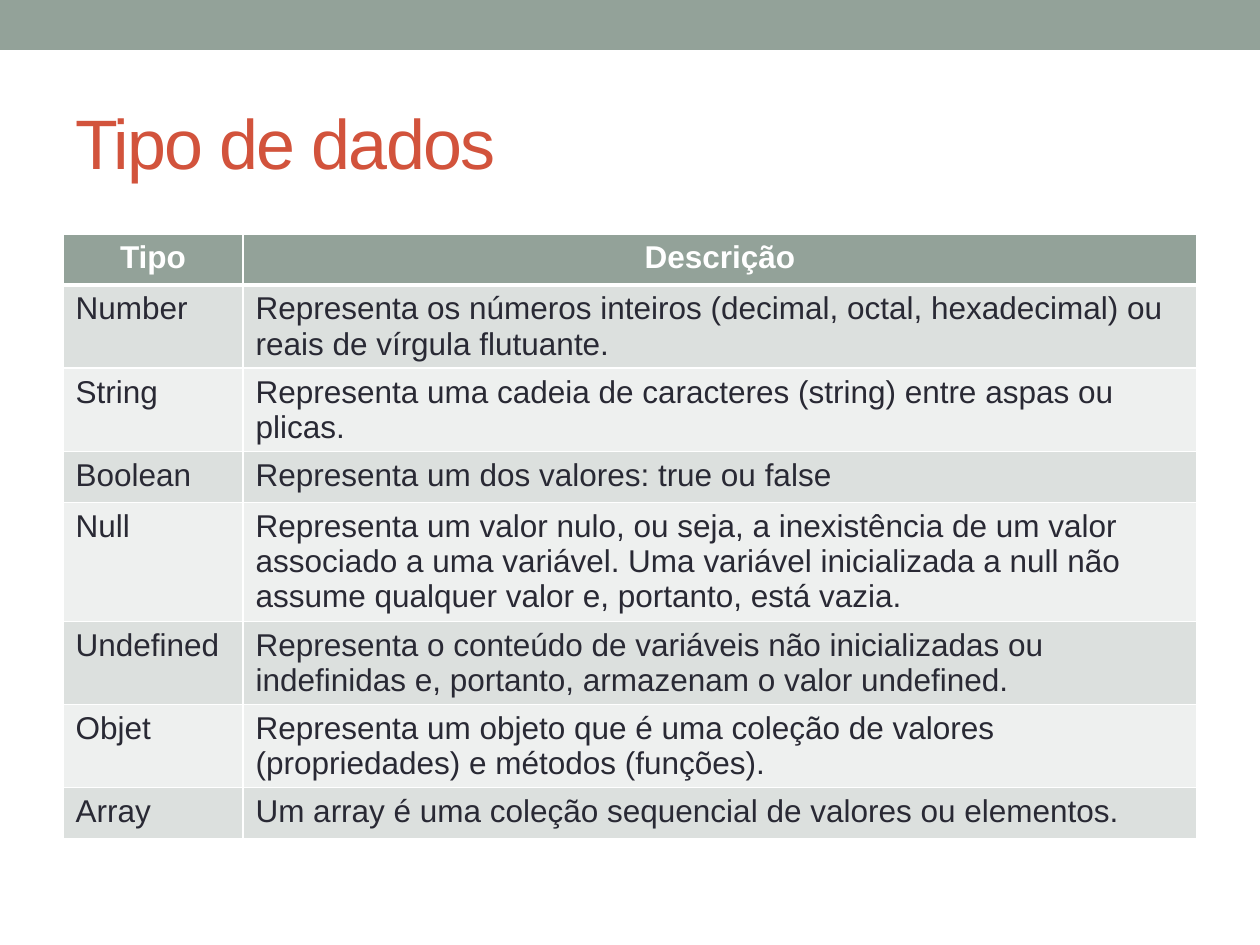
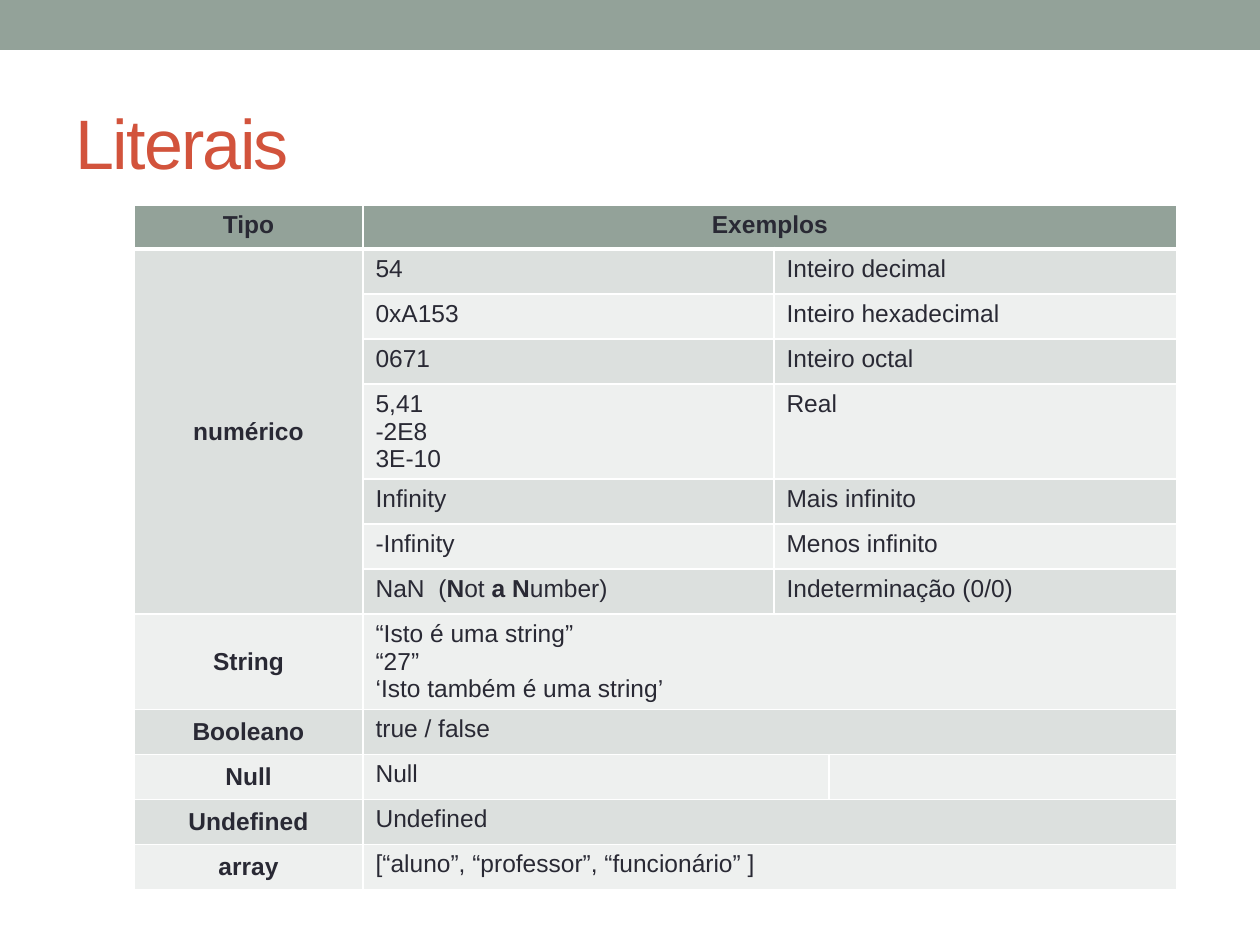
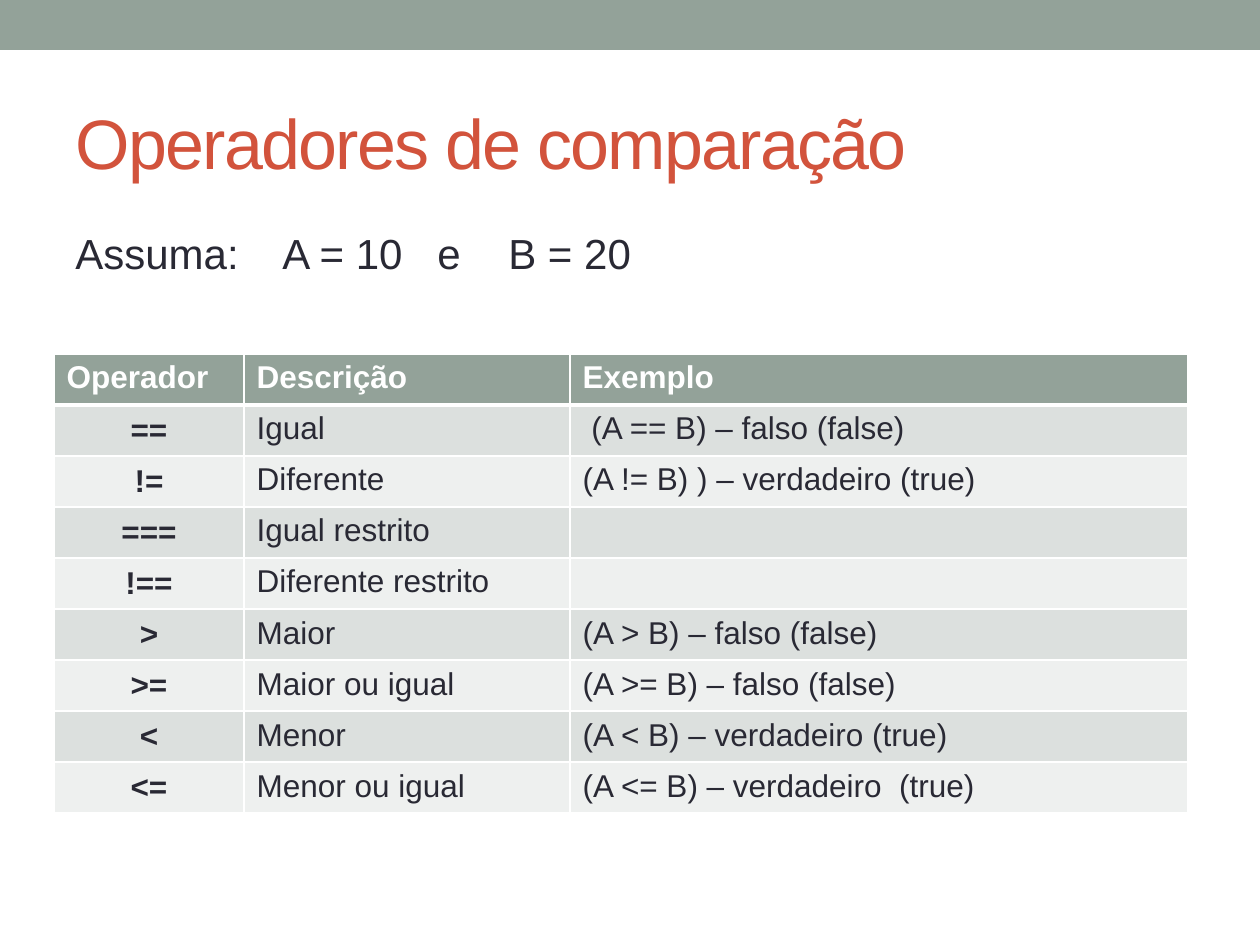
from lxml import etree
from pptx import Presentation
from pptx.dml.color import RGBColor
from pptx.enum.shapes import MSO_SHAPE
from pptx.enum.text import MSO_ANCHOR, MSO_AUTO_SIZE, PP_ALIGN
from pptx.oxml import parse_xml
from pptx.oxml.ns import nsdecls, qn
from pptx.util import Pt

PX = 7257  # EMU in one px, 126 px to the inch
FONT = "Arial"
SAGE = RGBColor(0x93, 0xA2, 0x99)
RUST = RGBColor(0xD2, 0x53, 0x3C)
INK = RGBColor(0x29, 0x29, 0x34)
WHITE = RGBColor(0xFF, 0xFF, 0xFF)
STRIPES = [RGBColor(0xEE, 0xF0, 0xEF), RGBColor(0xDC, 0xE0, 0xDE)]

prs = Presentation()
prs.slide_width = 1260 * PX
prs.slide_height = 945 * PX


def add_titled_slide(title_text):
    slide = prs.slides.add_slide(prs.slide_layouts[5])
    band = slide.shapes.add_shape(MSO_SHAPE.RECTANGLE, 0, 0, 1260 * PX, 50 * PX)
    band.shadow.inherit = False
    band.fill.solid()
    band.fill.fore_color.rgb = SAGE
    band.line.fill.background()

    title = slide.shapes.title
    title.left, title.top, title.width, title.height = 63 * PX, 73 * PX, 1134 * PX, 136 * PX
    frame = title.text_frame
    frame.auto_size = MSO_AUTO_SIZE.NONE
    frame.vertical_anchor = MSO_ANCHOR.MIDDLE
    frame.paragraphs[0].alignment = PP_ALIGN.LEFT
    run = frame.paragraphs[0].add_run()
    run.text = title_text
    run.font.name, run.font.size, run.font.color.rgb = FONT, Pt(40), RUST
    run._r.get_or_add_rPr().set("spc", "-100")
    return slide


def add_grid(slide, left, top, widths, heights, rows, size=18, header_color=WHITE,
             header_align=PP_ALIGN.CENTER, bold_labels=False):
    """Add a striped table; a cell is a string or a list of (text, bold) pieces."""
    table = slide.shapes.add_table(len(rows), len(widths), left * PX, top * PX,
                                   sum(widths) * PX, sum(heights) * PX).table
    for column, width in zip(table.columns, widths):
        column.width = width * PX
    for row, height in zip(table.rows, heights):
        row.height = height * PX

    for r, row in enumerate(rows):
        for c, content in enumerate(row):
            cell = table.cell(r, c)
            is_label = bold_labels and c == 0 and r > 0
            thick_side = {0: "lnB", 1: "lnT"}.get(r)
            for side in ("lnL", "lnR", "lnT", "lnB"):
                width = Pt(3 if side == thick_side else 1)
                cell._tc.get_or_add_tcPr().append(parse_xml(
                    f'<a:{side} {nsdecls("a")} w="{width}"><a:solidFill>'
                    f'<a:srgbClr val="{WHITE}"/></a:solidFill></a:{side}>'))
            cell.fill.solid()
            cell.fill.fore_color.rgb = SAGE if r == 0 else STRIPES[r % 2]
            if is_label:
                cell.vertical_anchor = MSO_ANCHOR.MIDDLE

            paragraph = cell.text_frame.paragraphs[0]
            if not content:
                etree.SubElement(paragraph._p, qn("a:endParaRPr"), sz=str(size * 100))
                continue
            if r == 0:
                paragraph.alignment = header_align
            elif is_label:
                paragraph.alignment = PP_ALIGN.CENTER
            pieces = [(content, r == 0 or is_label)] if isinstance(content, str) else content
            for text, bold in pieces:
                for n, line in enumerate(text.split("\n")):
                    if n:
                        paragraph.add_line_break()
                    run = paragraph.add_run()
                    run.text = line
                    run.font.name, run.font.size, run.font.bold = FONT, Pt(size), bold
                    run.font.color.rgb = header_color if r == 0 else INK
    return table


# Data types
add_grid(
    add_titled_slide("Tipo de dados"), 63, 234, [180, 954],
    [51, 83, 83, 51, 119, 83, 83, 51],
    [
        ("Tipo", "Descrição"),
        ("Number", "Representa os números inteiros (decimal, octal, hexadecimal) "
                   "ou reais de vírgula flutuante."),
        ("String", "Representa uma cadeia de caracteres (string) entre aspas ou plicas."),
        ("Boolean", "Representa um dos valores: true ou false"),
        ("Null", "Representa um valor nulo, ou seja, a inexistência de um valor associado "
                 "a uma variável. Uma variável inicializada a null não assume qualquer "
                 "valor e, portanto, está vazia."),
        ("Undefined", "Representa o conteúdo de variáveis não inicializadas ou indefinidas "
                      "e, portanto, armazenam o valor undefined."),
        ("Objet", "Representa um objeto que é uma coleção de valores (propriedades) "
                  "e métodos (funções)."),
        ("Array", "Um array é uma coleção sequencial de valores ou elementos."),
    ])

# Literals
not_a_number = [("NaN  (", False), ("N", True), ("ot ", False), ("a N", True), ("umber)", False)]
literals = add_grid(
    add_titled_slide("Literais"), 134, 205, [229, 411, 55, 348],
    [44, 45, 45, 45, 95, 45, 45, 45, 95, 45, 45, 45, 45],
    [
        ("Tipo", "Exemplos", "", ""),
        ("numérico", "54", "Inteiro decimal", ""),
        ("", "0xA153", "Inteiro hexadecimal", ""),
        ("", "0671", "Inteiro octal", ""),
        ("", "5,41\n-2E8\n3E-10", "Real", ""),
        ("", "Infinity", "Mais infinito", ""),
        ("", "-Infinity", "Menos infinito", ""),
        ("", not_a_number, "Indeterminação (0/0)", ""),
        ("String", "“Isto é uma string”\n“27”\n‘Isto também é uma string’", "", ""),
        ("Booleano", "true / false", "", ""),
        ("Null", "Null", "", ""),
        ("Undefined", "Undefined", "", ""),
        ("array", "[“aluno”, “professor”, “funcionário” ]", "", ""),
    ],
    size=14, header_color=INK, bold_labels=True)
literals.cell(1, 0).merge(literals.cell(7, 0))
for r in range(1, 8):
    literals.cell(r, 2).merge(literals.cell(r, 3))
for r in (0, 8, 9, 11, 12):
    literals.cell(r, 1).merge(literals.cell(r, 3))
literals.cell(10, 1).merge(literals.cell(10, 2))

# Comparison operators
comparison = add_titled_slide("Operadores de comparação")
add_grid(
    comparison, 54, 354, [190, 326, 618], [51] * 9,
    [
        ("Operador", "Descrição", "Exemplo"),
        ("==", "Igual", " (A == B) – falso (false)"),
        ("!=", "Diferente", "(A != B) ) – verdadeiro (true)"),
        ("===", "Igual restrito", ""),
        ("!==", "Diferente restrito", ""),
        (">", "Maior", "(A > B) – falso (false)"),
        (">=", "Maior ou igual", "(A >= B) – falso (false)"),
        ("<", "Menor", "(A < B) – verdadeiro (true)"),
        ("<=", "Menor ou igual", "(A <= B) – verdadeiro  (true)"),
    ],
    header_align=PP_ALIGN.LEFT, bold_labels=True)

assumption = comparison.shapes.add_textbox(63 * PX, 221 * PX, 1134 * PX, 93 * PX).text_frame
assumption.word_wrap = True
paragraph = assumption.paragraphs[0]
paragraph.space_before = Pt(2)
tab_stops = etree.SubElement(paragraph._p.get_or_add_pPr(), qn("a:tabLst"))
for stop in (207, 362, 433):
    etree.SubElement(tab_stops, qn("a:tab"), pos=str(stop * PX), algn="l")
run = paragraph.add_run()
run.text = "Assuma:\tA = 10\te\tB = 20"
run.font.name, run.font.size, run.font.color.rgb = FONT, Pt(24), INK

prs.save("out.pptx")
